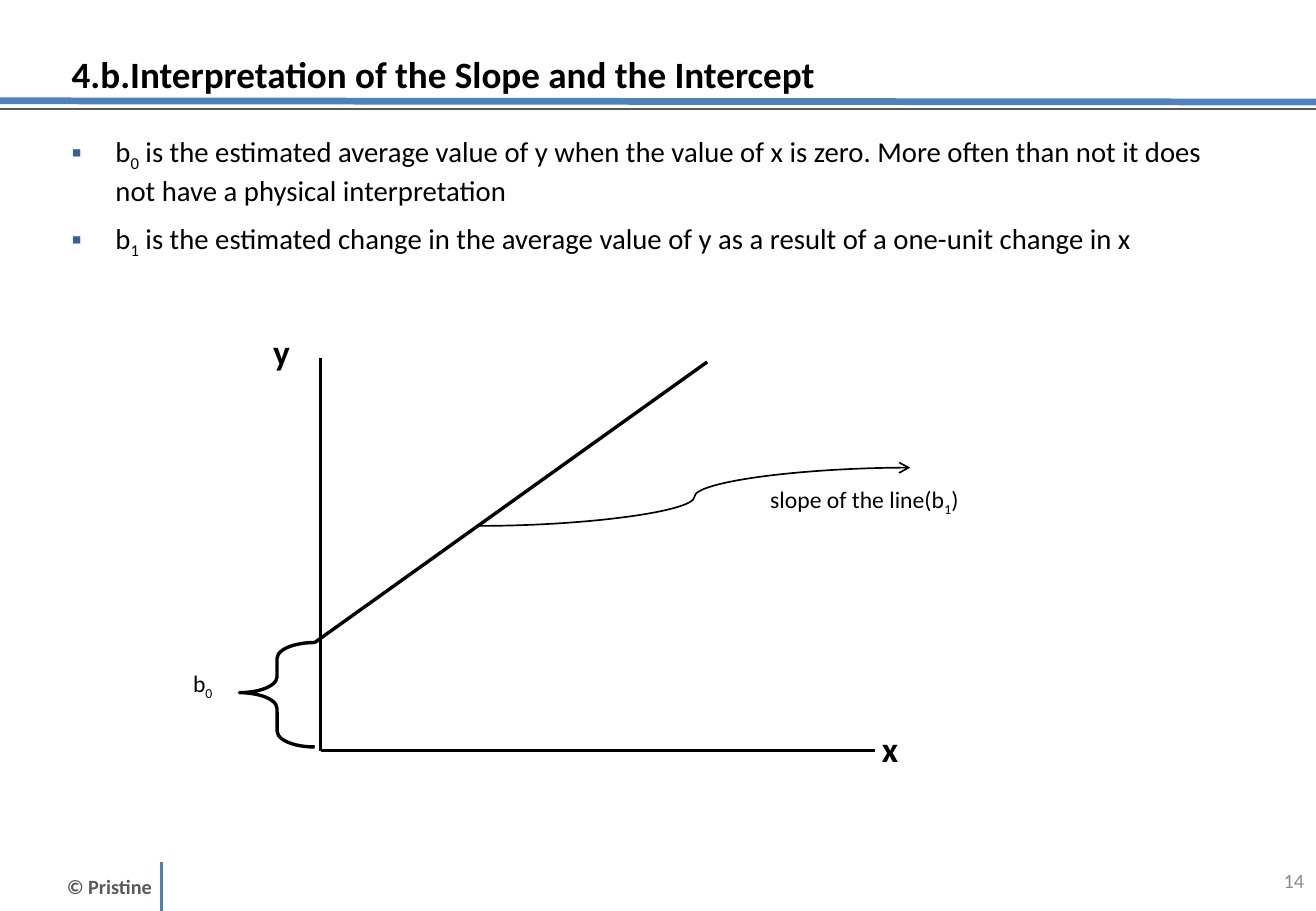
import pptx
import pptx.util
import pptx.dml.color
import pptx.enum.shapes
import pptx.enum.text
import pptx.oxml
import pptx.oxml.ns
from dataclasses import dataclass

Inches = pptx.util.Inches
Pt = pptx.util.Pt
RGB = pptx.dml.color.RGBColor.from_string
Kind = pptx.enum.shapes.MSO_CONNECTOR
Anchor = pptx.enum.text.MSO_ANCHOR
Align = pptx.enum.text.PP_ALIGN


@dataclass(frozen=True)
class Theme:
    font: str = "Calibri"
    ink: str = "000000"
    gray: str = "595959"
    pale: str = "8C8C8C"
    blue: str = "4F81BD"
    mark: str = "376092"
    title: int = 22
    axis: int = 21
    body: int = 17
    label: int = 14
    foot: int = 12


theme = Theme()
deck = pptx.Presentation()
deck.slide_width, deck.slide_height = Inches(10.83), Inches(7.5)
slide = deck.slides.add_slide(deck.slide_layouts[6])
shapes = slide.shapes


def write(place, lines, size, color=theme.ink, bold=False, left=0.1, anchor=Anchor.TOP):
    """Add a text box; text between underscores becomes a subscript."""
    frame = shapes.add_textbox(*map(Inches, place)).text_frame
    frame.word_wrap = True
    frame.margin_left = Inches(left)
    frame.vertical_anchor = anchor
    for i, line in enumerate(lines):
        para = frame.paragraphs[0] if i == 0 else frame.add_paragraph()
        for j, part in enumerate(line.split("_")):
            run = para.add_run()
            run.text = part
            font = run.font
            font.name, font.size, font.bold = theme.font, Pt(size), bold
            font.color.rgb = RGB(color)
            if j % 2:
                run._r.get_or_add_rPr().set("baseline", "-25000")
    return frame


def draw(start, end, color, width, kind=Kind.STRAIGHT):
    line = shapes.add_connector(kind, *map(Inches, start + end))
    line.line.color.rgb = RGB(color)
    line.line.width = Pt(width)
    props = line._element.spPr
    props.append(pptx.oxml.parse_xml(
        f"<a:effectLst {pptx.oxml.ns.nsdecls('a')}/>"))
    return line


# Footer and header rules
write((0.55, 7.1, 1.53, 0.4), ["© Pristine"], theme.foot, theme.gray, True, 0, Anchor.MIDDLE)
draw((1.33, 7.1), (1.33, 7.5), theme.blue, 1.5)
draw((0, 0.83), (10.83, 0.84), theme.blue, 4)
draw((0, 0.9), (10.83, 0.9), theme.gray, 1)
page = write((10.29, 7.1, 0.54, 0.4), ["14"], theme.foot, theme.pale)
page.paragraphs[0].alignment = Align.RIGHT

# Title and bullets
title = write((0.54, 0.07, 8.22, 0.77), ["4.b.Interpretation of the Slope and the Intercept"],
              theme.title, bold=True, left=0.05, anchor=Anchor.BOTTOM)
title.paragraphs[0].line_spacing = Pt(22)

points = [
    "b_0_ is the estimated average value of y when the value of x is zero. "
    "More often than not it does not have a physical interpretation",
    "b_1_ is the estimated change in the average value of y as a result of "
    "a one-unit change in x",
]
body = write((0.54, 1.05, 9.75, 5.66), points, theme.body, left=0.05)
for i, para in enumerate(body.paragraphs):
    props = para._p.get_or_add_pPr()
    props.set("marL", str(Inches(0.36)))
    props.set("indent", str(-Inches(0.36)))
    space = pptx.oxml.ns.nsdecls("a")
    for xml in (f'<a:buClr {space}><a:srgbClr val="{theme.mark}"/></a:buClr>',
                f'<a:buFont {space} typeface="{theme.font}"/>',
                f'<a:buChar {space} char="▪"/>'):
        props.append(pptx.oxml.parse_xml(xml))
    para.space_before = Pt(4 if i else 0)
    para.space_after = Pt(4)

# Axes and fitted line
origin = (2.64, 6.18)
for start, end in (((2.64, 2.95), origin), (origin, (7.2, 6.18)),
                   ((2.59, 5.29), (5.82, 2.98))):
    draw(start, end, theme.ink, 2)
for name, left, top in (("y", 2.15, 2.67), ("x", 7.16, 5.94)):
    write((left, top, 0.42, 0.56), [name], theme.axis, bold=True)

# Intercept
brace = shapes.add_shape(pptx.enum.shapes.MSO_SHAPE.LEFT_BRACE,
                         *map(Inches, (1.97, 5.29, 0.62, 0.86)))
brace.shadow.inherit = False
brace.fill.background()
brace.line.color.rgb = RGB(theme.ink)
brace.line.width = Pt(2)
brace.adjustments[0], brace.adjustments[1] = 0.21, 0.48
write((1.49, 5.46, 0.48, 0.41), ["b_0_"], theme.label)

# Slope
curve = draw((3.94, 4.33), (7.49, 3.85), theme.ink, 1, Kind.CURVE)
curve.line._get_or_add_ln().append(pptx.oxml.parse_xml(
    f'<a:tailEnd {pptx.oxml.ns.nsdecls("a")} type="arrow"/>'))
write((6.24, 3.94, 2.32, 0.41), ["slope of the line(b_1_)"], theme.label)

deck.save("out.pptx")
